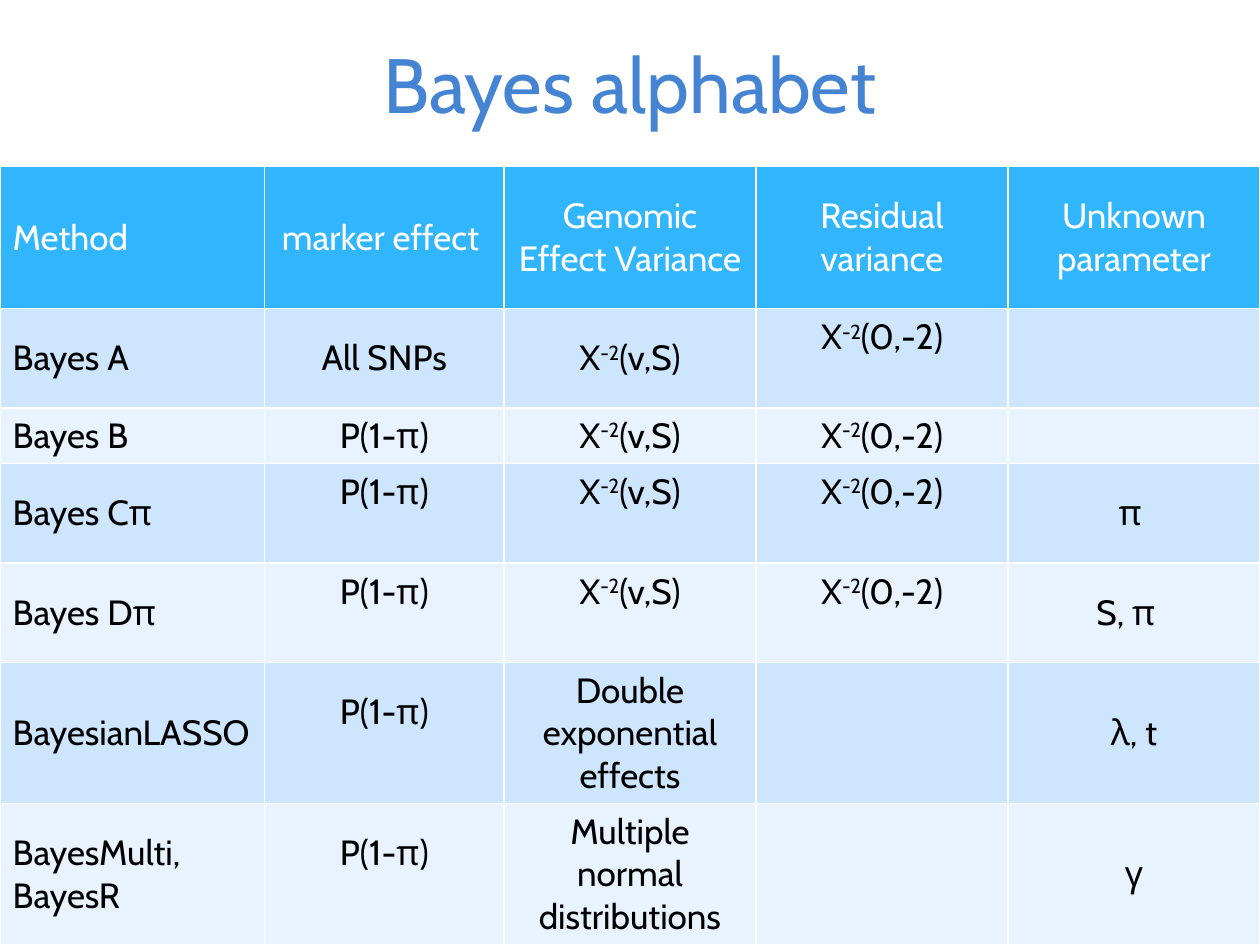
from pptx import Presentation
from pptx.dml.color import RGBColor
from pptx.enum.text import MSO_ANCHOR, PP_ALIGN
from pptx.util import Inches, Pt

TITLE = "Bayes alphabet"
HEADER = ["Method", "marker effect", "Genomic Effect Variance",
          "Residual variance", "Unknown\nparameter"]
# A caret pair encloses a superscript
EFFECT_PRIOR = "X^-2^(v,S)"
RESIDUAL_PRIOR = "X^-2^(0,-2)"
MIXTURE = "P(1-π)"
METHODS = [
    ["Bayes A", "All SNPs", EFFECT_PRIOR, RESIDUAL_PRIOR, ""],
    ["Bayes B", MIXTURE, EFFECT_PRIOR, RESIDUAL_PRIOR, ""],
    ["Bayes Cπ", MIXTURE, EFFECT_PRIOR, RESIDUAL_PRIOR, "π"],
    ["Bayes Dπ", MIXTURE, EFFECT_PRIOR, RESIDUAL_PRIOR, "S, π"],
    ["BayesianLASSO", MIXTURE, "Double exponential effects", "", "λ, t"],
    ["BayesMulti, BayesR", MIXTURE, "Multiple normal distributions", "", "γ"],
]
COLUMN_WIDTHS = [2.1, 1.9, 2, 2, 2]
ROW_HEIGHTS = [1.13, 0.79, 0.44, 0.79, 0.79, 1.12, 1.12]
TABLE_TOP = 1.32

# Cells (row, column) whose text sits half a line above the middle
RAISED = {(1, 3), (5, 1), (6, 1)} | {(r, c) for r in (3, 4) for c in (1, 2, 3)}
RAISED_MARGIN = 0.39
# Right margins of cells whose text sits a little left of centre
RIGHT_MARGINS = {(0, 1): 0.16, (3, 4): 0.16, (4, 4): 0.23}

COLORS = {"title": "4584D3", "header": "31B6FD", "odd": "CEE5FE",
          "even": "E8F3FF", "header_text": "FFFFFF", "text": "000000"}


def color(key):
    return RGBColor.from_string(COLORS[key])


def write(frame, text, size, color_key, align):
    frame.word_wrap = True
    for i, line in enumerate(text.split("\n")):
        paragraph = frame.paragraphs[0] if i == 0 else frame.add_paragraph()
        paragraph.alignment = align
        for j, part in enumerate(line.split("^")):
            run = paragraph.add_run()
            run.text = part
            font_format = {"name": "Cabin", "size": Pt(size), "bold": False}
            for attribute, value in font_format.items():
                setattr(run.font, attribute, value)
            run.font.color.rgb = color(color_key)
            if j % 2:
                run.font._element.set("baseline", "30000")


def add_title(slide):
    title = slide.shapes.add_textbox(Inches(0.5), 0, Inches(9), Inches(TABLE_TOP))
    title.text_frame.vertical_anchor = MSO_ANCHOR.MIDDLE
    write(title.text_frame, TITLE, 44, "title", PP_ALIGN.CENTER)


def add_methods_table(slide):
    rows = [HEADER] + METHODS
    table = slide.shapes.add_table(
        len(rows), len(HEADER), 0, Inches(TABLE_TOP),
        Inches(sum(COLUMN_WIDTHS)), Inches(sum(ROW_HEIGHTS))).table
    for column, width in zip(table.columns, COLUMN_WIDTHS):
        column.width = Inches(width)
    for row, height in zip(table.rows, ROW_HEIGHTS):
        row.height = Inches(height)

    for r, texts in enumerate(rows):
        band = "header" if r == 0 else "odd" if r % 2 else "even"
        for c, text in enumerate(texts):
            cell = table.cell(r, c)
            cell.fill.solid()
            cell.fill.fore_color.rgb = color(band)
            cell.vertical_anchor = MSO_ANCHOR.MIDDLE
            if (r, c) in RAISED:
                cell.margin_bottom = Inches(RAISED_MARGIN)
            if (r, c) in RIGHT_MARGINS:
                cell.margin_right = Inches(RIGHT_MARGINS[r, c])
            if text:
                write(cell.text_frame, text, 20,
                      "text" if r else "header_text",
                      PP_ALIGN.CENTER if c else PP_ALIGN.LEFT)


def main():
    deck = Presentation()
    deck.slide_width, deck.slide_height = Inches(10), Inches(7.5)
    slide = deck.slides.add_slide(deck.slide_layouts[6])
    add_methods_table(slide)
    add_title(slide)
    deck.save("out.pptx")


if __name__ == "__main__":
    main()
